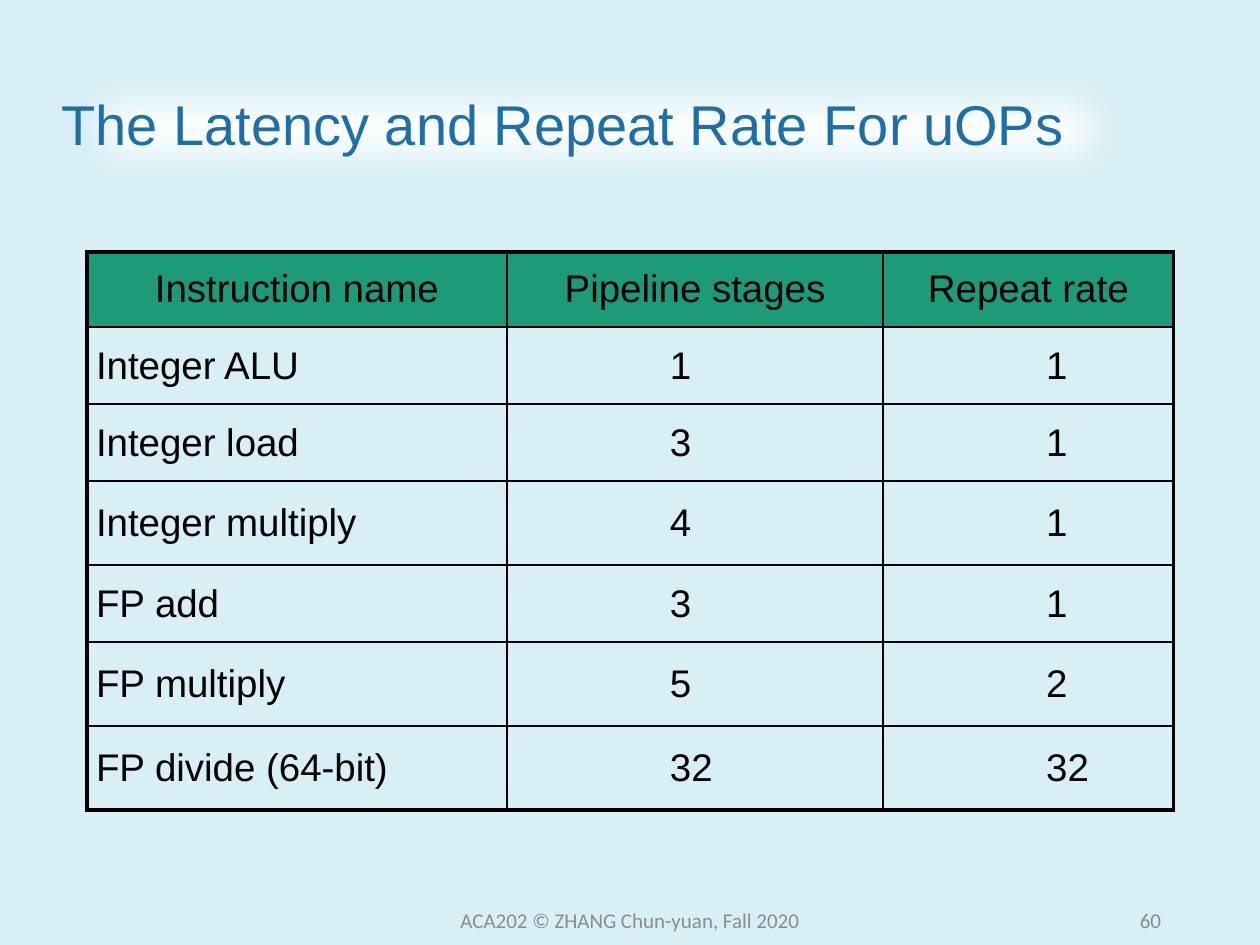
from lxml.etree import SubElement
from pptx import Presentation
from pptx.dml.color import RGBColor
from pptx.enum.shapes import MSO_SHAPE
from pptx.enum.text import MSO_ANCHOR, PP_ALIGN
from pptx.oxml.ns import qn
from pptx.util import Pt

ROWS = [
    ("Instruction name", "Pipeline stages", "Repeat rate"),
    ("Integer ALU", "1", "1"),
    ("Integer load", "3", "1"),
    ("Integer multiply", "4", "1"),
    ("FP add", "3", "1"),
    ("FP multiply", "5", "2"),
    ("FP divide (64-bit)", "32", "32"),
]
COLUMN_WIDTHS = [240, 215, 166]
ROW_HEIGHTS = [43, 44, 44, 48, 44, 48, 48]


def color(value):
    return RGBColor.from_string(value)


def write(frame, text, size=22, font="Arial", ink="000000",
          align=PP_ALIGN.LEFT, spacing=1.0, indent=0):
    frame.word_wrap = True
    para = frame.paragraphs[0]
    para.alignment = align
    para.line_spacing = spacing
    if indent:
        properties = para._p.get_or_add_pPr()
        properties.set("marL", str(Pt(indent)))
        properties.set("indent", "0")
    span = para.add_run()
    span.text = text
    span.font.size = Pt(size)
    span.font.name = font
    span.font.color.rgb = color(ink)


class Slide:
    title_ink = "1D6FA9"
    footer_ink = "8C8C8C"
    header_fill = "1D9A78"
    border_ink = "000000"
    number_indent = 88

    def __init__(self, deck):
        self.page = deck.slides.add_slide(deck.slide_layouts[6])
        fill = self.page.background.fill
        fill.solid()
        fill.fore_color.rgb = color("D7EFF5")

    def title(self, text, *place):
        box = self.page.shapes.add_shape(MSO_SHAPE.RECTANGLE, *map(Pt, place))
        box.shadow.inherit = False
        box.fill.solid()
        box.fill.fore_color.rgb = color("FFFFFF")
        box.line.fill.background()
        effects = box._element.spPr.find(qn("a:effectLst"))
        SubElement(effects, qn("a:softEdge"), rad=str(Pt(25)))
        box.text_frame.vertical_anchor = MSO_ANCHOR.MIDDLE
        write(box.text_frame, text, size=32, ink=self.title_ink, spacing=0.9)

    def footer(self, text, align, *place):
        box = self.page.shapes.add_textbox(*map(Pt, place))
        box.text_frame.vertical_anchor = MSO_ANCHOR.MIDDLE
        write(box.text_frame, text, size=12, font="Calibri",
              ink=self.footer_ink, align=align)

    def border(self, cell, outer_sides):
        properties = cell._tc.get_or_add_tcPr()
        for position, (side, outer) in enumerate(zip("LRTB", outer_sides)):
            line = properties.makeelement(
                qn(f"a:ln{side}"), {"w": str(Pt(2.25 if outer else 1))})
            fill = SubElement(line, qn("a:solidFill"))
            SubElement(fill, qn("a:srgbClr"), val=self.border_ink)
            properties.insert(position, line)

    def table(self, rows, widths, heights, left, top):
        frame = self.page.shapes.add_table(
            len(rows), len(widths), Pt(left), Pt(top),
            Pt(sum(widths)), Pt(sum(heights)))
        table = frame.table
        table.first_row = table.horz_banding = False
        for column, width in zip(table.columns, widths):
            column.width = Pt(width)
        for row, height in zip(table.rows, heights):
            row.height = Pt(height)
        last_row, last_column = len(rows) - 1, len(widths) - 1
        for r, texts in enumerate(rows):
            for c, text in enumerate(texts):
                cell = table.cell(r, c)
                cell.vertical_anchor = MSO_ANCHOR.MIDDLE
                cell.margin_left = cell.margin_right = Pt(5.2)
                cell.margin_top = cell.margin_bottom = Pt(3)
                if r == 0:
                    cell.fill.solid()
                    cell.fill.fore_color.rgb = color(self.header_fill)
                    write(cell.text_frame, text, align=PP_ALIGN.CENTER)
                else:
                    cell.fill.background()
                    write(cell.text_frame, text,
                          indent=self.number_indent if c else 0)
                self.border(cell, (c == 0, c == last_column,
                                   r == 0, r == last_row))


def main():
    deck = Presentation()
    deck.slide_width, deck.slide_height = Pt(720), Pt(540)
    slide = Slide(deck)
    slide.title("The Latency and Repeat Rate For uOPs", 28, 28.8, 625.7, 88.5)
    slide.table(ROWS, COLUMN_WIDTHS, ROW_HEIGHTS, 49.7, 144)
    slide.footer("ACA202 © ZHANG Chun-yuan, Fall 2020", PP_ALIGN.CENTER,
                 238.5, 511.2, 243, 28.8)
    slide.footer("60", PP_ALIGN.RIGHT, 508.5, 511.2, 162, 28.8)
    deck.save("out.pptx")


if __name__ == "__main__":
    main()
